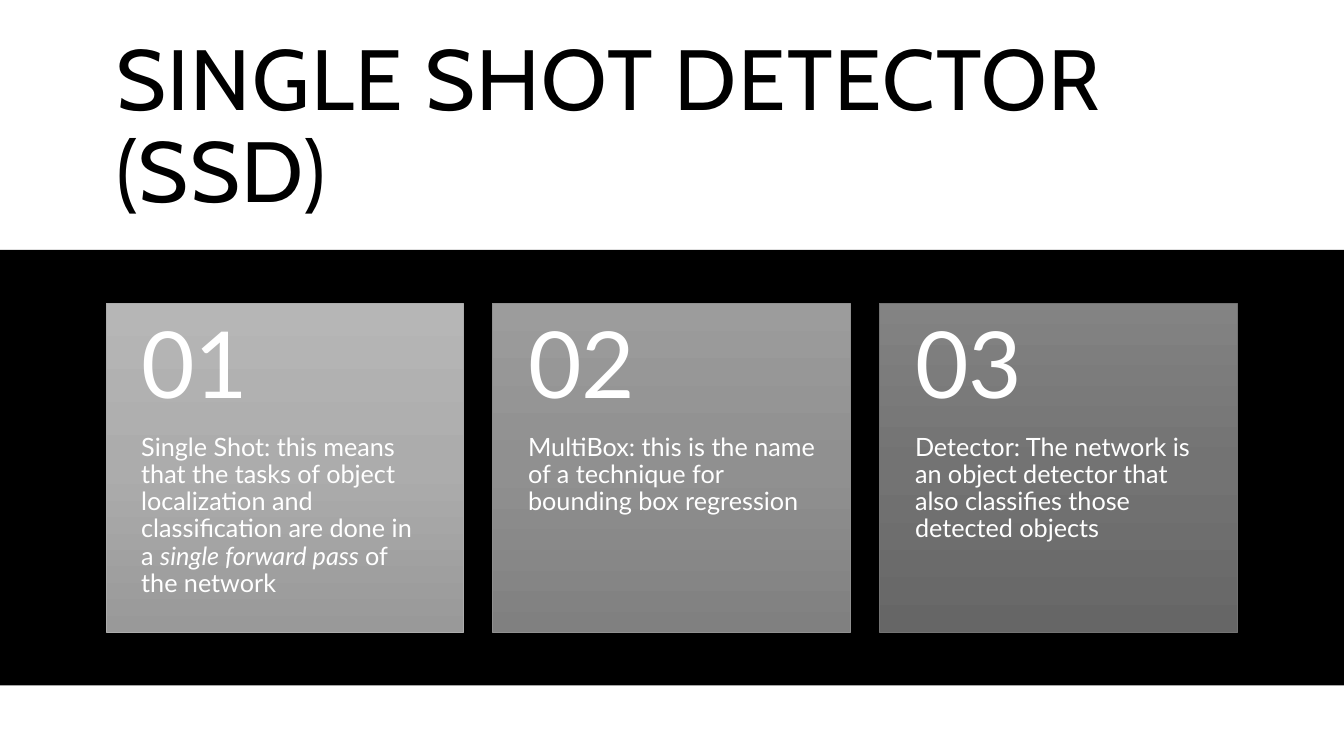
from copy import deepcopy
from dataclasses import dataclass

from pptx import Presentation
from pptx.dml.color import RGBColor
from pptx.enum.shapes import MSO_SHAPE
from pptx.enum.text import MSO_ANCHOR, MSO_AUTO_SIZE, PP_ALIGN
from pptx.oxml.ns import qn
from pptx.shapes.autoshape import Shape
from pptx.shapes.shapetree import GroupShapes
from pptx.text.text import TextFrame
from pptx.util import Cm, Pt

RECT = MSO_SHAPE.RECTANGLE
TOP, MIDDLE = MSO_ANCHOR.TOP, MSO_ANCHOR.MIDDLE
LEFT = PP_ALIGN.LEFT
FIXED = MSO_AUTO_SIZE.NONE

COLORS = {
    "black": "000000", "white": "FFFFFF",
    "light1": "B6B6B6", "mid1": "ACACAC", "dark1": "999999",
    "light2": "9C9C9C", "mid2": "909090", "dark2": "808080",
    "light3": "838383", "mid3": "737373", "dark3": "666666",
}
WIDTH, HEIGHT = 33.87, 19.05
EDGE, STEP = 2.67, 9.75
CARD_W, CARD_H, CARD_TOP = 9.02, 8.28, 7.65
HEAD_H = 3.3
PAD = 0.89


@dataclass
class Card:
    number: str
    runs: list[tuple[str, bool]]  # text, italic


CARDS = [
    Card("01", [
        ("Single Shot: this means that the tasks of object localization "
         "and classification are done in a ", False),
        ("single forward pass ", True),
        ("of the network", False),
    ]),
    Card("02", [("MultiBox: this is the name of a technique for bounding "
                 "box regression", False)]),
    Card("03", [("Detector: The network is an object detector that also "
                 "classifies those detected objects", False)]),
]


def color(name: str) -> RGBColor:
    return RGBColor.from_string(COLORS[name])


def style(frame: TextFrame, face: str, size: int, ink: str, anchor: MSO_ANCHOR) -> None:
    frame.word_wrap = True
    frame.auto_size = FIXED
    frame.vertical_anchor = anchor
    line = frame.paragraphs[0]
    line.alignment = LEFT
    line.line_spacing = 0.9
    line.font.name = face
    line.font.size = Pt(size)
    line.font.color.rgb = color(ink)


def shade(box: Shape, tones: list[str]) -> None:
    """Fill a box from top to bottom with evenly spaced tones."""
    box.fill.gradient()
    box.fill.gradient_angle = 270
    stops = box.element.spPr.find(qn("a:gradFill")).find(qn("a:gsLst"))
    stops.append(deepcopy(stops[0]))
    for i, (stop, tone) in enumerate(zip(box.fill.gradient_stops, tones)):
        stop.position = i / (len(tones) - 1)
        stop.color.rgb = color(tone)


def add_text(shapes: GroupShapes, x: float, y: float, high: float,
             runs: list[tuple[str, bool]], size: int, anchor: MSO_ANCHOR,
             top: float, bottom: float) -> None:
    box = shapes.add_textbox(Cm(x), Cm(y), Cm(CARD_W), Cm(high))
    frame = box.text_frame
    frame.margin_left = frame.margin_right = Cm(PAD)
    frame.margin_top, frame.margin_bottom = Cm(top), Cm(bottom)
    style(frame, "Lato", size, "white", anchor)
    for text, slant in runs:
        run = frame.paragraphs[0].add_run()
        run.text = text
        if slant:
            run.font.italic = True


def add_card(shapes: GroupShapes, card: Card, index: int) -> None:
    x = EDGE + index * STEP
    tones = [f"{tone}{index + 1}" for tone in ("light", "mid", "dark")]
    box = shapes.add_shape(RECT, Cm(x), Cm(CARD_TOP), Cm(CARD_W), Cm(CARD_H))
    box.shadow.inherit = False
    shade(box, tones)
    box.line.color.rgb = color(tones[1])
    box.line.width = Pt(0.5)
    add_text(shapes, x, CARD_TOP + HEAD_H, CARD_H - HEAD_H, card.runs, 18, TOP, 0, 0.91)
    add_text(shapes, x, CARD_TOP, HEAD_H, [(card.number, False)], 66, MIDDLE, 0.46, 0.46)


def main() -> None:
    deck = Presentation()
    deck.slide_width, deck.slide_height = Cm(WIDTH), Cm(HEIGHT)
    slide = deck.slides.add_slide(deck.slide_layouts[5])
    slide.background.fill.solid()
    slide.background.fill.fore_color.rgb = color("white")

    # Title
    title = slide.shapes.title
    title.left, title.top = Cm(EDGE), Cm(0.89)
    title.width, title.height = Cm(28.52), Cm(4.72)
    title.text_frame.text = "SINGLE SHOT DETECTOR (SSD)"
    style(title.text_frame, "Cabin", 61, "black", MIDDLE)
    title.text_frame.paragraphs[0].runs[0].font._element.set("spc", "120")

    # Black band
    band = slide.shapes.add_shape(RECT, 0, Cm(6.3), Cm(WIDTH), Cm(10.97))
    band.shadow.inherit = False
    band.fill.solid()
    band.fill.fore_color.rgb = color("black")
    band.line.fill.background()

    # Cards
    group = slide.shapes.add_group_shape()
    for index, card in enumerate(CARDS):
        add_card(group.shapes, card, index)

    deck.save("out.pptx")


if __name__ == "__main__":
    main()
